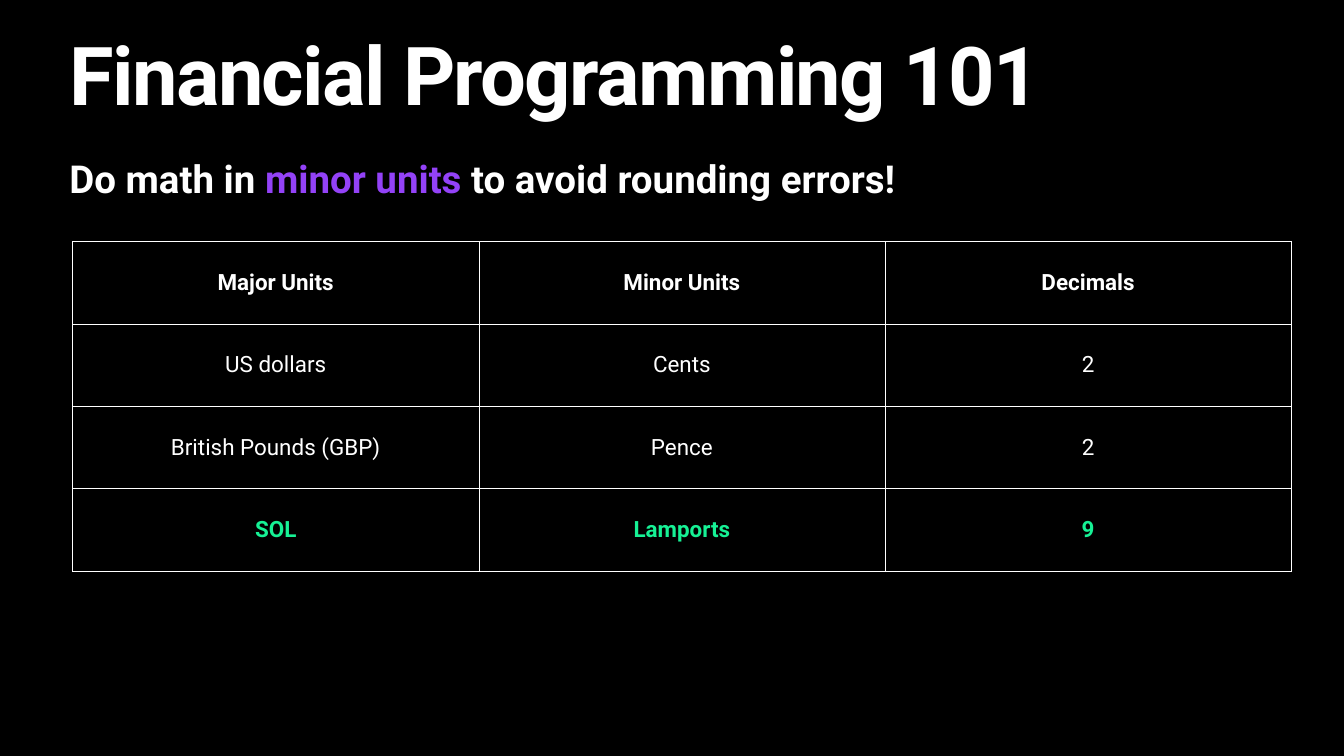
import pptx
import pptx.util
import pptx.dml.color
import pptx.enum.text
import pptx.oxml.ns
from lxml import etree

Cm, Pt = pptx.util.Cm, pptx.util.Pt
RGB = pptx.dml.color.RGBColor.from_string
ALIGN = pptx.enum.text.PP_ALIGN
ANCHOR = pptx.enum.text.MSO_ANCHOR
qn = pptx.oxml.ns.qn

THEME = {
    "font": "Roboto",
    "background": "000000", "text": "FFFFFF", "accent": "9342F7", "highlight": "16F195",
    "title": 116, "subtitle": 55, "cell": 32,
}
INSET = Cm(0.14)
MARGINS = {f"margin_{side}": INSET for side in ("left", "top", "right", "bottom")}


def add_run(p, text, size, color="text", bold=True):
    r = p.add_run()
    r.text = text
    font = {"name": THEME["font"], "size": Pt(THEME[size]), "bold": bold}
    for name, value in font.items():
        setattr(r.font, name, value)
    r.font.color.rgb = RGB(THEME[color])
    return r


def add_borders(cell):
    tcPr = cell._tc.get_or_add_tcPr()
    for side in ("lnL", "lnR", "lnT", "lnB"):
        ln = etree.SubElement(tcPr, qn(f"a:{side}"), w=str(Pt(1)))
        fill = etree.SubElement(ln, qn("a:solidFill"))
        etree.SubElement(fill, qn("a:srgbClr"), val=THEME["text"])


prs = pptx.Presentation()
prs.slide_width, prs.slide_height = Cm(67.73), Cm(38.1)
s = prs.slides.add_slide(prs.slide_layouts[0])
s.background.fill.solid()
s.background.fill.fore_color.rgb = RGB(THEME["background"])

# Title and subtitle
title, subtitle = s.placeholders
for sp, top, height, anchor in (
    (title, -6.65, 12.9, ANCHOR.BOTTOM),
    (subtitle, 7.65, 5.28, ANCHOR.TOP),
):
    sp.left, sp.top, sp.width, sp.height = Cm(3.35), Cm(top), Cm(61.04), Cm(height)
    frame = {"word_wrap": True, "auto_size": pptx.enum.text.MSO_AUTO_SIZE.NONE,
             "vertical_anchor": anchor, **MARGINS}
    for name, value in frame.items():
        setattr(sp.text_frame, name, value)
    p = sp.text_frame.paragraphs[0]
    p.alignment = ALIGN.LEFT
    p.space_before = Pt(0)

p = title.text_frame.paragraphs[0]
p.line_spacing = 0.8
r = add_run(p, "Financial Programming 101", "title")
r._r.get_or_add_rPr().set("spc", "-230")

p = subtitle.text_frame.paragraphs[0]
for text, color in (
    ("Do math in ", "text"),
    ("minor units", "accent"),
    (" to avoid rounding errors!", "text"),
):
    add_run(p, text, "subtitle", color)

# Table of units: text, colour and weight per row
rows = (
    (("Major Units", "Minor Units", "Decimals"), "text", True),
    (("US dollars", "Cents", "2"), "text", False),
    (("British Pounds (GBP)", "Pence", "2"), "text", False),
    (("SOL", "Lamports", "9"), "highlight", True),
)
col_width, row_height = Cm(20.47), Cm(4.15)
table = s.shapes.add_table(len(rows), 3, Cm(3.66), Cm(12.17),
                           3 * col_width, len(rows) * row_height).table
table.first_row = table.horz_banding = False
for i, (texts, color, bold) in enumerate(rows):
    for j, text in enumerate(texts):
        cell = table.cell(i, j)
        add_borders(cell)
        cell.fill.background()
        for name, value in {"vertical_anchor": ANCHOR.MIDDLE, **MARGINS}.items():
            setattr(cell, name, value)
        p = cell.text_frame.paragraphs[0]
        p.alignment = ALIGN.CENTER
        add_run(p, text, "cell", color, bold)

prs.save("out.pptx")
